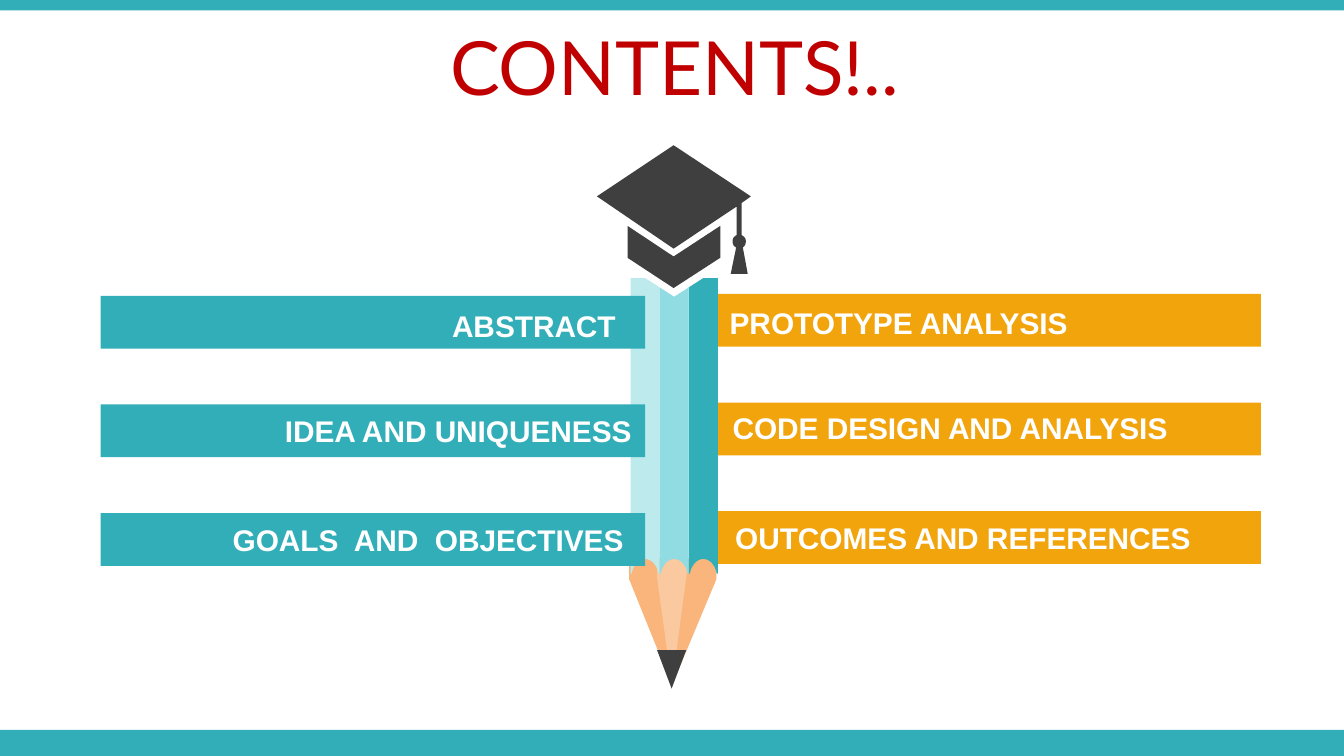
"""Build a contents slide with a pencil, a graduation cap and six topic bars."""
from pptx import Presentation
from pptx.dml.color import RGBColor
from pptx.enum.shapes import MSO_SHAPE
from pptx.enum.text import MSO_ANCHOR, PP_ALIGN
from pptx.util import Pt

TITLE = "CONTENTS!.."
TEAL, ORANGE, DARK, WHITE = "32AEB8", "F2A40D", "3F3F3F", "FFFFFF"
BAR_WIDTH, BAR_HEIGHT, BAR_STEP = 291.7, 28.3, 58.2
BANDS = [(391, 14.4), (0, 5.6)]
COLUMNS = [
    {"left": 383.8, "top": 157.5, "color": ORANGE, "align": PP_ALIGN.LEFT, "labels": [
        ("PROTOTYPE ANALYSIS", 383.8, 159.8, 203),
        ("CODE DESIGN AND ANALYSIS", 385.4, 216, 282),
        ("OUTCOMES AND REFERENCES", 386.8, 275, 291)]},
    {"left": 53.9, "top": 158.5, "color": TEAL, "align": PP_ALIGN.RIGHT, "labels": [
        ("ABSTRACT", 133.2, 161.3, 203.8),
        ("IDEA AND UNIQUENESS", 133.2, 217.4, 212.4),
        ("GOALS  AND  OBJECTIVES", 82.8, 275.8, 258.5)]},
]
WOOD = [
    ("F9B57C", [(337, 299), (383.8, 299.5), (383.8, 310.3), (360, 367.2), (337, 310.3)]),
    ("FBC9A0", [(352, 299), (368, 299), (368, 306.7), (360, 367.2), (352, 309.6)]),
]
STRIP_LEFT, STRIP_WIDTH, STRIP_BOTTOM, SCALLOP_TOP = 337.8, 15.6, 307.4, 299.5
STRIPS = [
    ("BCEAED", [149, 149, 154]),
    ("90DCE2", [154, 159, 154]),
    (TEAL, [154, 149, 149]),
]
CAP_BAND = [(336.2, 121), (360.9, 137.4), (385.9, 121), (385.9, 138.1), (360.9, 154.3), (336.2, 138.1)]
CAP_BOARD = [
    (360.9, 77.8), (402.3, 105.2), (397.4, 108.7), (397.4, 126),
    (398.8, 126.7, 399.6, 127.6, 399.6, 129.4), (399.6, 131, 398.8, 131.9, 398, 132.6),
    (400.6, 146.7), (391.5, 146.7), (394.4, 132.6),
    (393.2, 131.9, 392.5, 131, 392.5, 129.4), (392.5, 127.6, 393.2, 126.7, 394.6, 126),
    (394.6, 110.7), (360.9, 133.2), (319.8, 105.2),
]

presentation = Presentation()
presentation.slide_width, presentation.slide_height = Pt(720), Pt(405)
slide = presentation.slides.add_slide(presentation.slide_layouts[5])


def rgb(color):
    return RGBColor.from_string(color)


def paint(shape, color):
    shape.shadow.inherit = False
    shape.fill.solid()
    shape.fill.fore_color.rgb = rgb(color)
    shape.line.fill.background()


def add_preset(kind, left, top, width, height, color):
    shape = slide.shapes.add_shape(kind, Pt(left), Pt(top), Pt(width), Pt(height))
    paint(shape, color)
    return shape


def flatten(outline, steps=10):
    points = []
    for item in outline:
        if len(item) == 2:
            points.append(item)
            continue
        controls = [points[-1], item[:2], item[2:4], item[4:]]
        for step in range(1, steps + 1):
            t = step / steps
            weights = ((1 - t) ** 3, 3 * t * (1 - t) ** 2, 3 * t * t * (1 - t), t ** 3)
            points.append(tuple(sum(w * c[axis] for w, c in zip(weights, controls)) for axis in (0, 1)))
    return points


def add_outline(color, *outlines):
    contours = [[(Pt(x), Pt(y)) for x, y in flatten(outline)] for outline in outlines]
    builder = slide.shapes.build_freeform(*contours[0][0])
    builder.add_line_segments(contours[0][1:], close=True)
    for contour in contours[1:]:
        builder.move_to(*contour[0])
        builder.add_line_segments(contour[1:], close=True)
    paint(builder.convert_to_shape(), color)


def strip_outline(index, tops):
    left = STRIP_LEFT + index * STRIP_WIDTH
    middle, right = left + STRIP_WIDTH / 2, left + STRIP_WIDTH
    shoulder = SCALLOP_TOP + 3.6
    return [
        *zip((left, middle, right), tops), (right, STRIP_BOTTOM), (middle + 7.2, STRIP_BOTTOM),
        (middle + 6.5, shoulder, middle + 3.6, SCALLOP_TOP, middle, SCALLOP_TOP),
        (middle - 3.6, SCALLOP_TOP, middle - 6.5, shoulder, middle - 7.2, STRIP_BOTTOM),
        (left, STRIP_BOTTOM),
    ]


def write(paragraph, text, size, font, color, align, bold=False):
    paragraph.alignment = align
    run = paragraph.add_run()
    run.text = text
    run.font.size, run.font.name, run.font.bold = Pt(size), font, bold
    run.font.color.rgb = rgb(color)


def add_bars(column):
    for row in range(len(column["labels"])):
        add_preset(MSO_SHAPE.RECTANGLE, column["left"], column["top"] + row * BAR_STEP,
                   BAR_WIDTH, BAR_HEIGHT, column["color"])


for top, height in BANDS:
    add_preset(MSO_SHAPE.RECTANGLE, 0, top, 720, height, TEAL)

right_column, left_column = COLUMNS
add_bars(right_column)
for color, outline in WOOD:
    add_outline(color, outline)
for index, (color, tops) in enumerate(STRIPS):
    add_outline(color, strip_outline(index, tops))
tip = add_preset(MSO_SHAPE.ISOSCELES_TRIANGLE, 352, 348.3, 15.6, 20.6, DARK)
tip.rotation = 180
add_outline(DARK, CAP_BAND, CAP_BOARD)
add_bars(left_column)

for column in COLUMNS:
    for text, left, top, width in column["labels"]:
        box = slide.shapes.add_textbox(Pt(left), Pt(top), Pt(width), Pt(24.5))
        box.text_frame.word_wrap = True
        write(box.text_frame.paragraphs[0], text, 16, "Arial", WHITE, column["align"], True)

title = slide.shapes.title
title.left, title.top, title.width, title.height = Pt(1.4), Pt(11.5), Pt(720), Pt(47.5)
frame = title.text_frame
frame.vertical_anchor = MSO_ANCHOR.MIDDLE
frame.margin_left = frame.margin_right = frame.margin_top = frame.margin_bottom = Pt(7.2)
write(frame.paragraphs[0], TITLE, 40, "Lato", "C00000", PP_ALIGN.CENTER)

presentation.save("out.pptx")
